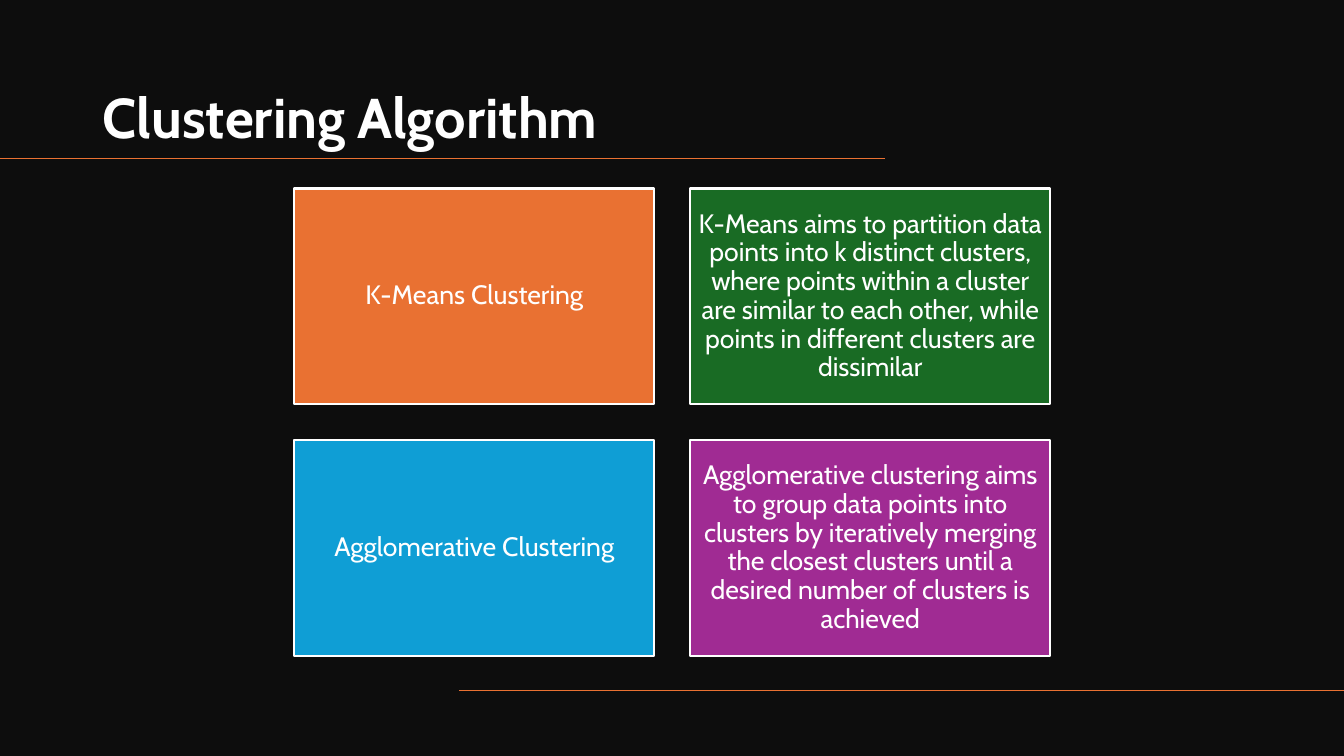
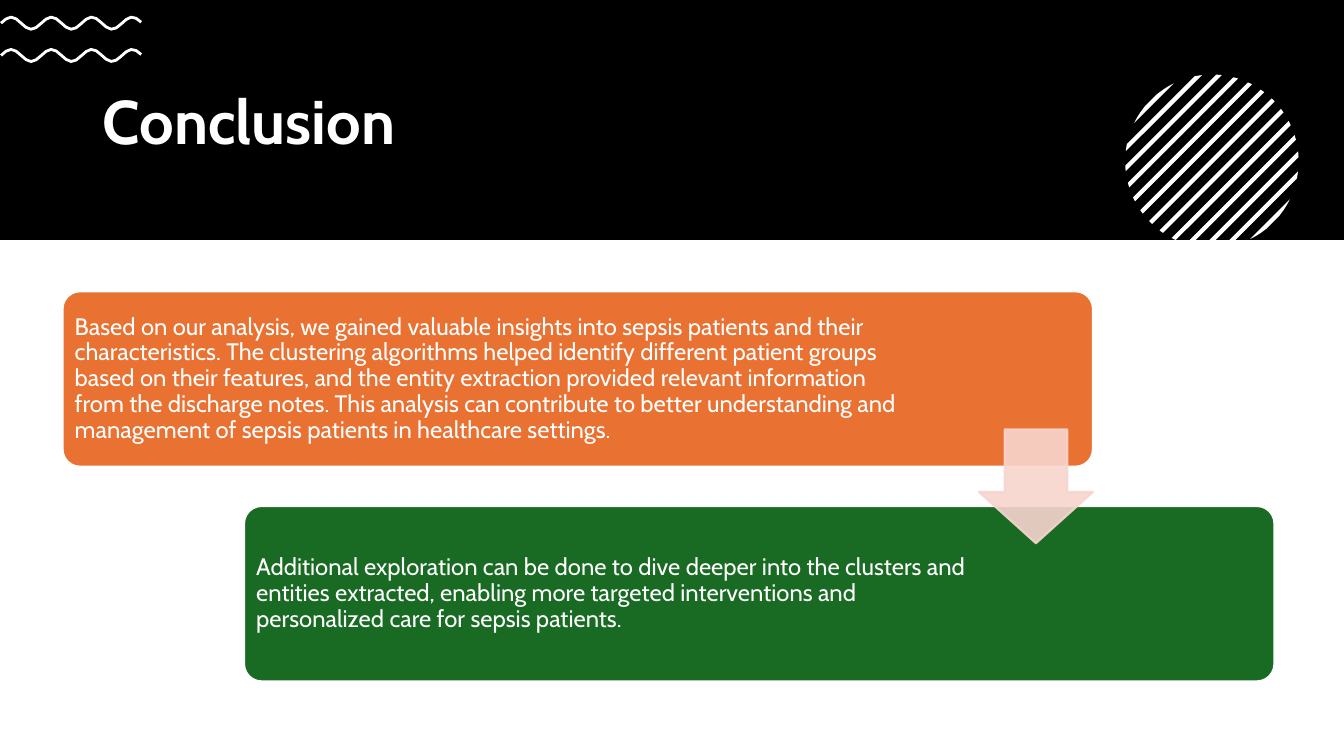
import math

import lxml.etree
import pptx
import pptx.dml.color
import pptx.enum.shapes
import pptx.enum.text
import pptx.oxml.ns
import pptx.util

Inches = pptx.util.Inches
Color = pptx.dml.color.RGBColor
Shape = pptx.enum.shapes.MSO_SHAPE
Align = pptx.enum.text.PP_ALIGN
Anchor = pptx.enum.text.MSO_ANCHOR

FONT = "Cabin"
BLACK = Color(0x00, 0x00, 0x00)
CHARCOAL = Color(0x0D, 0x0D, 0x0D)
WHITE = Color(0xFF, 0xFF, 0xFF)
ORANGE = Color(0xE9, 0x71, 0x32)
GREEN = Color(0x19, 0x6B, 0x24)
BLUE = Color(0x0F, 0x9E, 0xD5)
PURPLE = Color(0xA0, 0x2B, 0x93)
PINK = Color(0xF7, 0xD5, 0xCE)

SLIDE_WIDTH, SLIDE_HEIGHT = 13.33, 7.5
BAND_HEIGHT = 2.38

ALGORITHMS = [
    ("K-Means Clustering", ORANGE),
    ("K-Means aims to partition data points into k distinct clusters, where points within "
     "a cluster are similar to each other, while points in different clusters are dissimilar", GREEN),
    ("Agglomerative Clustering", BLUE),
    ("Agglomerative clustering aims to group data points into clusters by iteratively merging "
     "the closest clusters until a desired number of clusters is achieved", PURPLE),
]
CARD_WIDTH, CARD_HEIGHT = 3.57, 2.14
CARD_GAP = CARD_WIDTH / 10
CARDS_LEFT, CARDS_TOP = 2.92, 1.87
RULES = [(8.78, 0, 1.57), (SLIDE_WIDTH, 4.55, 6.85)]

CONCLUSIONS = [
    ("Based on our analysis, we gained valuable insights into sepsis patients and their "
     "characteristics. The clustering algorithms helped identify different patient groups based "
     "on their features, and the entity extraction provided relevant information from the "
     "discharge notes. This analysis can contribute to better understanding and management of "
     "sepsis patients in healthcare settings.", ORANGE, 1.82),
    ("Additional exploration can be done to dive deeper into the clusters and entities extracted, "
     "enabling more targeted interventions and personalized care for sepsis patients.", GREEN, 2.97),
]
STEP_LEFT, STEP_TOP, STEP_WIDTH, STEP_HEIGHT = 0.62, 2.89, 10.22, 1.74
STEP_SHIFT, STEP_DROP = 1.8, 2.13

WAVE_MIDDLES = [0.23, 0.55]
WAVE_START, WAVE_END, WAVE_CREST = 0.01, 1.4, 0.11
WAVE_PERIOD, WAVE_HEIGHT, WAVE_PIECES = 0.4, 0.06, 28

DISC_X, DISC_Y, DISC_RADIUS = 12.02, 1.6, 0.86
STRIPES_PER_SIDE, STRIPE_REACH, STRIPE_HALF, ARC_PIECES = 6, 1.18, 0.03, 4


def write(frame, text, size, align=Align.LEFT, bold=False):
    frame.word_wrap = True
    frame.auto_size = pptx.enum.text.MSO_AUTO_SIZE.NONE
    para = frame.paragraphs[0]
    para.alignment = align
    para.line_spacing = 0.9
    span = para.add_run()
    span.text = text
    span.font.name = FONT
    span.font.size = pptx.util.Pt(size)
    span.font.bold = bold
    span.font.color.rgb = WHITE


def add_box(page, kind, place, fill, line=None):
    box = page.shapes.add_shape(kind, *map(Inches, place))
    box.shadow.inherit = False
    box.fill.solid()
    box.fill.fore_color.rgb = fill
    if line is None:
        box.line.fill.background()
    else:
        box.line.color.rgb = line
        box.line.width = pptx.util.Pt(1.5)
    return box


def fill_box(box, text, size, align, margins):
    frame = box.text_frame
    frame.margin_left, frame.margin_top, frame.margin_right, frame.margin_bottom = map(Inches, margins)
    frame.vertical_anchor = Anchor.MIDDLE
    write(frame, text, size, align)


def add_page(deck, title, place, size, anchor, band_height, band_color):
    page = deck.slides.add_slide(deck.slide_layouts.get_by_name("Title Only"))
    heading = page.shapes.title
    heading.left, heading.top, heading.width, heading.height = map(Inches, place)
    heading.text_frame.vertical_anchor = anchor
    write(heading.text_frame, title, size, bold=True)
    band = add_box(page, Shape.RECTANGLE, (0, 0, SLIDE_WIDTH, band_height), band_color)
    heading.element.addprevious(band.element)
    return page


def add_outline(page, points, closed):
    corners = [(Inches(x), Inches(y)) for x, y in points]
    builder = page.shapes.build_freeform(*corners[0])
    builder.add_line_segments(corners[1:], close=closed)
    outline = builder.convert_to_shape()
    outline.shadow.inherit = False
    return outline


def add_rule(page, start, end, top):
    rule = page.shapes.add_connector(
        pptx.enum.shapes.MSO_CONNECTOR.STRAIGHT, *map(Inches, (start, top, end, top)))
    rule.line.color.rgb = ORANGE
    rule.line.width = pptx.util.Pt(1)
    lxml.etree.SubElement(rule.element.spPr, pptx.oxml.ns.qn("a:effectLst"))


def add_wave(page, middle):
    points = []
    for index in range(WAVE_PIECES + 1):
        x = WAVE_START + (WAVE_END - WAVE_START) * index / WAVE_PIECES
        angle = 2 * math.pi * (x - WAVE_CREST) / WAVE_PERIOD
        points.append((x, middle - WAVE_HEIGHT * math.cos(angle)))
    wave = add_outline(page, points, False)
    wave.fill.background()
    wave.line.color.rgb = WHITE
    wave.line.width = pptx.util.Pt(2)


def disc_point(offset, side):
    chord = math.sqrt(max(0, DISC_RADIUS ** 2 - offset ** 2 / 2)) / math.sqrt(2)
    x = DISC_X + offset / 2 + side * chord
    y = DISC_Y + offset / 2 - side * chord
    excess = max(0, y - BAND_HEIGHT)
    return x + excess, y - excess


def add_stripe(page, middle):
    limit = DISC_RADIUS * math.sqrt(2)
    low, high = max(-limit, middle - STRIPE_HALF), min(limit, middle + STRIPE_HALF)
    offsets = [low + (high - low) * index / ARC_PIECES for index in range(ARC_PIECES + 1)]
    points = [disc_point(offset, 1) for offset in offsets]
    points += [disc_point(offset, -1) for offset in reversed(offsets)]
    stripe = add_outline(page, points, True)
    stripe.fill.solid()
    stripe.fill.fore_color.rgb = WHITE
    stripe.line.fill.background()


def add_arrow(page):
    arrow = add_box(page, Shape.DOWN_ARROW, (9.71, 4.26, 1.13, 1.13), PINK, PINK)
    arrow.adjustments[0], arrow.adjustments[1] = 0.55, 0.45
    for color in arrow.element.spPr.iter(pptx.oxml.ns.qn("a:srgbClr")):
        lxml.etree.SubElement(color, pptx.oxml.ns.qn("a:alpha"), val="90000")


def build_algorithms(deck):
    page = add_page(deck, "Clustering Algorithm", (0.92, 0.42, 7.86, 1.12), 40,
                    Anchor.BOTTOM, SLIDE_HEIGHT, CHARCOAL)
    for start, end, top in RULES:
        add_rule(page, start, end, top)
    for index, (text, color) in enumerate(ALGORITHMS):
        row, column = divmod(index, 2)
        left = CARDS_LEFT + column * (CARD_WIDTH + CARD_GAP)
        top = CARDS_TOP + row * (CARD_HEIGHT + CARD_GAP)
        card = add_box(page, Shape.RECTANGLE, (left, top, CARD_WIDTH, CARD_HEIGHT), color, WHITE)
        fill_box(card, text, 19, Align.CENTER, [0.08] * 4)


def build_conclusion(deck):
    page = add_page(deck, "Conclusion", (0.92, 0.62, 11.5, 1.23), 44,
                    Anchor.MIDDLE, BAND_HEIGHT, BLACK)
    for middle in WAVE_MIDDLES:
        add_wave(page, middle)
    for number in range(-STRIPES_PER_SIDE, STRIPES_PER_SIDE + 1):
        add_stripe(page, STRIPE_REACH * number / STRIPES_PER_SIDE)
    for index, (text, color, right_margin) in enumerate(CONCLUSIONS):
        place = (STEP_LEFT + index * STEP_SHIFT, STEP_TOP + index * STEP_DROP, STEP_WIDTH, STEP_HEIGHT)
        step = add_box(page, Shape.ROUNDED_RECTANGLE, place, color, WHITE)
        step.adjustments[0] = 0.1
        fill_box(step, text, 17, Align.LEFT, (0.07, 0.07, right_margin, 0.07))
    add_arrow(page)


def main():
    deck = pptx.Presentation()
    deck.slide_width, deck.slide_height = Inches(SLIDE_WIDTH), Inches(SLIDE_HEIGHT)
    build_algorithms(deck)
    build_conclusion(deck)
    deck.save("out.pptx")


if __name__ == "__main__":
    main()
